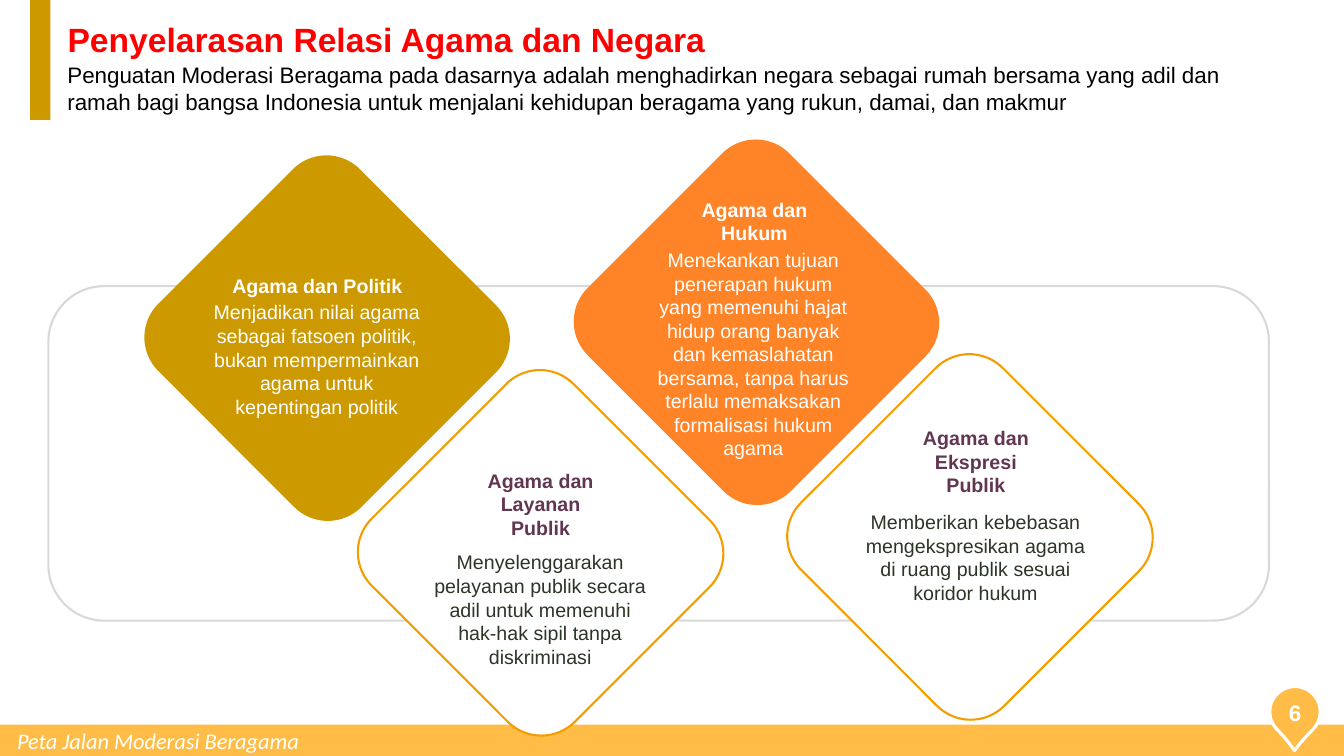
from collections import namedtuple

from pptx import Presentation
from pptx.dml.color import RGBColor
from pptx.enum import shapes, text
from pptx.util import Cm, Pt

WHITE = RGBColor(0xFF, 0xFF, 0xFF)
BLACK = RGBColor(0, 0, 0)
RED = RGBColor(0xFF, 0, 0)
GOLD = RGBColor(0xCC, 0x99, 0x00)
AMBER = RGBColor(0xFF, 0xBD, 0x47)
ORANGE = RGBColor(0xFF, 0x84, 0x27)
OUTLINE = RGBColor(0xF4, 0x9D, 0x00)
GREY = RGBColor(0xD9, 0xD9, 0xD9)
PLUM = RGBColor(0x61, 0x36, 0x51)
DARK_GREEN = RGBColor(0x2B, 0x36, 0x27)

Box = namedtuple("Box", "left top width height")
# Heading and body boxes are given relative to the diamond's corner.
Card = namedtuple("Card", "left top fill line heading heading_box body body_box "
                          "heading_color body_color space_after")

DIAMOND_WIDTH, DIAMOND_HEIGHT = 7.19, 7.24
HEADING_HEIGHT, BODY_HEIGHT = 1.5, 3.38

CARDS = [
    Card(4.65, 4.9, GOLD, None,
         "Agama dan Politik", Box(0.86, 1.42, 4.98, HEADING_HEIGHT),
         "Menjadikan nilai agama sebagai fatsoen politik, bukan mempermainkan "
         "agama untuk kepentingan politik",
         Box(0.25, 2.34, 6.17, BODY_HEIGHT), WHITE, WHITE, 2.7),
    Card(10.03, 10.31, WHITE, OUTLINE,
         "Agama dan Layanan Publik", Box(1.45, 2.11, 4.29, HEADING_HEIGHT),
         "Menyelenggarakan pelayanan publik secara adil untuk memenuhi "
         "hak-hak sipil tanpa diskriminasi",
         Box(0.51, 3.23, 6.15, BODY_HEIGHT), PLUM, DARK_GREEN, 0),
    Card(20.85, 9.91, WHITE, OUTLINE,
         "Agama dan Ekspresi Publik", Box(1.6, 1.44, 4.29, HEADING_HEIGHT),
         "Memberikan kebebasan mengekspresikan agama di ruang publik sesuai "
         "koridor hukum",
         Box(0.56, 2.61, 6.35, BODY_HEIGHT), PLUM, DARK_GREEN, 0),
    Card(15.47, 4.5, ORANGE, None,
         "Agama dan Hukum", Box(1.4, 0.5, 4.29, HEADING_HEIGHT),
         "Menekankan tujuan penerapan hukum yang memenuhi hajat hidup orang "
         "banyak dan kemaslahatan bersama, tanpa harus terlalu memaksakan "
         "formalisasi hukum agama",
         Box(0.63, 1.42, 5.77, BODY_HEIGHT), WHITE, WHITE, 2.7),
]


def in_cm(box):
    return [Cm(length) for length in box]


def add_panel(slide, kind, box, fill=None, line=None, weight=1.5, rotation=0):
    panel = slide.shapes.add_shape(kind, *in_cm(box))
    panel.shadow.inherit = False
    panel.rotation = rotation
    if fill is None:
        panel.fill.background()
    else:
        panel.fill.solid()
        panel.fill.fore_color.rgb = fill
    if line is None:
        panel.line.fill.background()
    else:
        panel.line.color.rgb = line
        panel.line.width = Pt(weight)
    return panel


def write(frame, wording, size, color, bold=False, italic=False, font="Arial",
          align=text.PP_ALIGN.LEFT, anchor=text.MSO_ANCHOR.TOP, inset=None):
    """Fill a text frame with one formatted paragraph and return it."""
    frame.word_wrap = True
    frame.auto_size = text.MSO_AUTO_SIZE.NONE
    frame.vertical_anchor = anchor
    if inset is not None:
        frame.margin_left = frame.margin_right = Cm(inset)
        frame.margin_top = frame.margin_bottom = Cm(inset)
    paragraph = frame.paragraphs[0]
    paragraph.alignment = align
    run = paragraph.add_run()
    run.text = wording
    run.font.name = font
    run.font.size = Pt(size)
    run.font.bold = bold
    run.font.italic = italic
    run.font.color.rgb = color
    return paragraph


def add_label(slide, box, *args, **formatting):
    label = slide.shapes.add_textbox(*in_cm(box))
    return write(label.text_frame, *args, **formatting)


def add_footer(slide, box):
    add_panel(slide, shapes.MSO_SHAPE.RECTANGLE, box, AMBER)
    add_label(slide, Box(box.left + 0.18, box.top - 0.07, 8.94, 0.94),
              "Peta Jalan Moderasi Beragama", 16, WHITE, italic=True, font="Calibri")


def add_page_pin(slide, box):
    pin = add_panel(slide, shapes.MSO_SHAPE.TEAR, box, AMBER, WHITE, 2.25, 135.6)
    pin.adjustments[0] = 1.09
    add_label(slide, Box(box.left, box.top + 0.2, box.width, 0.94), "6", 16, WHITE,
              bold=True, align=text.PP_ALIGN.CENTER)


def add_header(slide, box):
    add_panel(slide, shapes.MSO_SHAPE.RECTANGLE, Box(box.left, box.top, 0.51, box.height), GOLD)
    text_left = box.left + 0.69
    title = slide.shapes.title
    title.left, title.top, title.width, title.height = in_cm(
        Box(text_left, box.top + 0.46, 20.07, 1.17))
    heading = write(title.text_frame, "Penyelarasan Relasi Agama dan Negara", 24, RED, bold=True)
    heading.line_spacing = 0.9
    heading.space_before = Pt(0)
    add_label(slide, Box(text_left, box.top + 1.4, box.width - 0.69, 1.63),
              "Penguatan Moderasi Beragama pada dasarnya adalah menghadirkan negara "
              "sebagai rumah bersama yang adil dan ramah bagi bangsa Indonesia untuk "
              "menjalani kehidupan beragama yang rukun, damai, dan makmur",
              16, BLACK, anchor=text.MSO_ANCHOR.MIDDLE)


def add_card(slide, card):
    add_panel(slide, shapes.MSO_SHAPE.ROUNDED_RECTANGLE,
              Box(card.left, card.top, DIAMOND_WIDTH, DIAMOND_HEIGHT),
              card.fill, card.line, rotation=315)

    def place(box):
        return box._replace(left=card.left + box.left, top=card.top + box.top)

    centred = dict(align=text.PP_ALIGN.CENTER, inset=0.33)
    add_label(slide, place(card.body_box), card.body, 14, card.body_color, **centred)
    heading = add_label(slide, place(card.heading_box), card.heading, 14, card.heading_color,
                        bold=True, anchor=text.MSO_ANCHOR.BOTTOM, **centred)
    heading.space_after = Pt(card.space_after)


def main():
    deck = Presentation()
    deck.slide_width, deck.slide_height = Cm(33.87), Cm(19.05)
    slide = deck.slides.add_slide(deck.slide_layouts[5])
    add_footer(slide, Box(0, 18.26, 33.87, 0.79))
    add_page_pin(slide, Box(32, 17.3, 1.27, 1.27))
    add_header(slide, Box(0.76, 0, 31.83, 3.02))
    add_panel(slide, shapes.MSO_SHAPE.ROUNDED_RECTANGLE, Box(1.22, 7.21, 30.76, 8.43), line=GREY)
    for card in CARDS:
        add_card(slide, card)
    deck.save("out.pptx")


if __name__ == "__main__":
    main()
